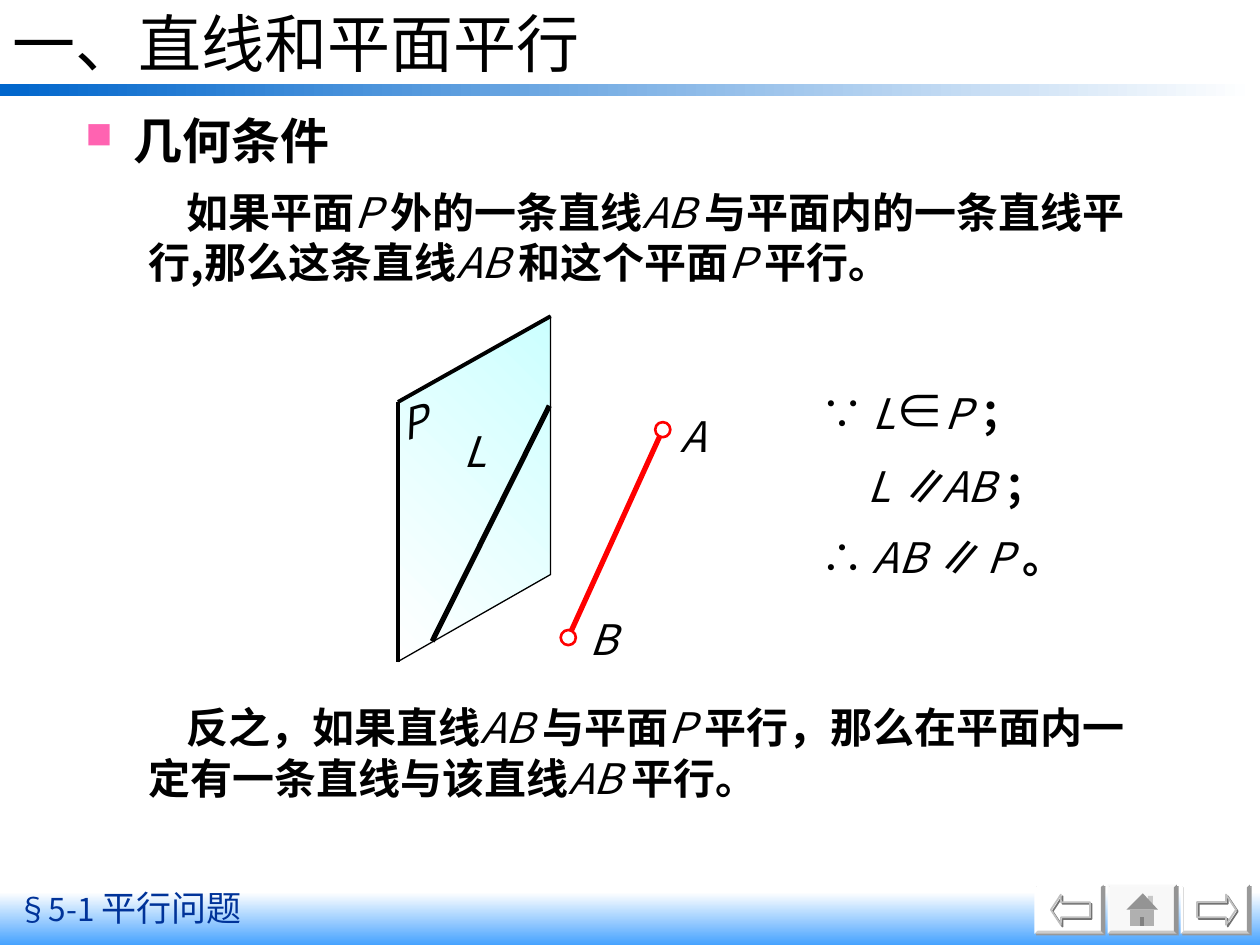
import pptx
import pptx.dml.color
import pptx.enum.shapes
import pptx.enum.text
import pptx.oxml
import pptx.oxml.ns
import pptx.util
from lxml import etree

Inches, Pt = pptx.util.Inches, pptx.util.Pt
SHAPE = pptx.enum.shapes.MSO_SHAPE
NS = 'xmlns:a="http://schemas.openxmlformats.org/drawingml/2006/main"'
SC, JP = "Noto Sans CJK SC", "Noto Sans CJK JP"

# Run styles: font, size, bold, italic, colour
STYLES = {
    "title": ("Lato", 36, False, False, "000000"),
    "heading": (SC, 28, True, False, "000000"),
    "bold": (SC, 24, True, False, "000000"),
    "parallel": (SC, 24, True, True, "000000"),
    "symbol": (JP, 24, False, False, "000000"),
    "element": (JP, 28, False, False, "000000"),
    "variable": (JP, 24, False, True, "000000"),
    "section": (SC, 18, False, False, "003399"),
    "topic": (SC, 20, False, False, "003399"),
}

# Content: paragraphs are lists of (text, style)
TITLE = [("一、直线和平面平行", "title")]
SECTION = [("§5-1 ", "section"), ("平行问题", "topic")]
HEADING = [("几何条件", "heading")]
THEOREM = [
    ("如果平面", "bold"), ("P ", "variable"), ("外的一条直线", "bold"), ("AB ", "variable"),
    ("与平面内的一条直线平行,那么这条直线", "bold"), ("AB ", "variable"),
    ("和这个平面", "bold"), ("P ", "variable"), ("平行。", "bold"),
]
CONVERSE = [
    ("反之，如果直线", "bold"), ("AB ", "variable"), ("与平面", "bold"), ("P ", "variable"),
    ("平行，那么在平面内一定有一条直线与该直线", "bold"), ("AB ", "variable"), ("平行。", "bold"),
]
PROOF = [
    [("∵ ", "symbol"), ("L", "variable"), ("∈", "element"), ("P ", "variable"), ("；", "bold")],
    [("L ", "variable"), ("∥", "parallel"), ("AB ", "variable"), ("；", "bold")],
    [("∴ ", "symbol"), ("AB ", "variable"), ("∥", "parallel"), (" P ", "variable"), ("。", "bold")],
]
LABELS = [("A", 5.3, 3.21), ("B", 4.58, 4.82), ("L", 3.58, 3.33)]
PLANE = [(3.16, 3.19), (4.37, 2.51), (4.37, 4.56), (3.16, 5.25)]
POINT_A, POINT_B = (5.26, 3.41), (4.51, 5.06)
HOUSE = [
    ("C8C8C8", [(9.11, 7.11), (9.15, 7.11), (9.15, 7.18), (9.11, 7.14)]),
    ("B0B0B0", [(8.97, 7.22), (9.16, 7.22), (9.16, 7.35), (8.97, 7.35)]),
    ("949494", [(9.07, 7.09), (9.19, 7.22), (8.94, 7.22)]),
    ("808080", [(9.05, 7.28), (9.08, 7.28), (9.08, 7.35), (9.05, 7.35)]),
]

presentation = pptx.Presentation()
presentation.slide_width, presentation.slide_height = Inches(10), Inches(7.5)
slide = presentation.slides.add_slide(presentation.slide_layouts[6])
shapes = slide.shapes


def color(value):
    return pptx.dml.color.RGBColor.from_string(value)


def paint(shape, fill=None, line=None, width=1):
    shape.shadow.inherit = False
    if fill:
        shape.fill.solid()
        shape.fill.fore_color.rgb = color(fill)
    else:
        shape.fill.background()
    if line:
        shape.line.color.rgb = color(line)
        shape.line.width = Pt(width)
    else:
        shape.line.fill.background()
    return shape


def add_preset(preset, box, **look):
    return paint(shapes.add_shape(preset, *map(Inches, box)), **look)


def add_outline(points, **look):
    corners = [(Inches(x), Inches(y)) for x, y in points]
    builder = shapes.build_freeform(*corners[0], scale=1.0)
    builder.add_line_segments(corners[1:], close=True)
    return paint(builder.convert_to_shape(), **look)


def add_gradient(shape, end, angle):
    shape.fill.gradient()
    shape.fill.gradient_stops[0].color.rgb = color("FFFFFF")
    shape.fill.gradient_stops[0].position = 0
    shape.fill.gradient_stops[1].color.rgb = color(end)
    shape.fill.gradient_stops[1].position = 1
    linear = shape._element.spPr.find(".//" + pptx.oxml.ns.qn("a:lin"))
    linear.set("ang", str(angle * 60000))
    linear.set("scaled", "0")


def add_shadow(shape, value):
    effects = shape._element.spPr.find(pptx.oxml.ns.qn("a:effectLst"))
    effects.append(pptx.oxml.parse_xml(
        f'<a:outerShdw {NS} dist="17780" dir="2700000"><a:srgbClr val="{value}"/></a:outerShdw>'))


def add_line(start, end, width, value="000000"):
    line = shapes.add_connector(pptx.enum.shapes.MSO_CONNECTOR.STRAIGHT,
                                *map(Inches, start + end))
    line.line.color.rgb = color(value)
    line.line.width = Pt(width)
    etree.SubElement(line._element.spPr, pptx.oxml.ns.qn("a:effectLst"))


def add_text(box, paragraphs, middle=False, wrap=True):
    text_box = shapes.add_textbox(*map(Inches, box))
    frame = text_box.text_frame
    frame.word_wrap = wrap
    if middle:
        frame.vertical_anchor = pptx.enum.text.MSO_ANCHOR.MIDDLE
    for index, runs in enumerate(paragraphs):
        paragraph = frame.add_paragraph() if index else frame.paragraphs[0]
        for text, style in runs:
            run = paragraph.add_run()
            run.text = text
            name, size, bold, italic, value = STYLES[style]
            font = run.font
            font.name, font.size, font.bold, font.italic = name, Pt(size), bold, italic
            font.color.rgb = color(value)
            east_asian = etree.SubElement(run._r.rPr, pptx.oxml.ns.qn("a:ea"))
            east_asian.set("typeface", SC if name == "Lato" else name)
    return text_box


def indent(paragraph, left, first):
    properties = paragraph._p.get_or_add_pPr()
    properties.set("marL", str(Inches(left)))
    properties.set("indent", str(Inches(first)))
    return properties


# Title rule and footer band
add_gradient(add_preset(SHAPE.RECTANGLE, (0, 0.67, 9.96, 0.09)), "0066CC", 180)
add_gradient(add_preset(SHAPE.RECTANGLE, (0, 7.08, 10, 0.42)), "47A3FF", 90)
add_text((0.04, 6.99, 4.67, 0.44), [SECTION])

# Plane P with its heavy left and top edges
add_gradient(add_outline(PLANE, line="000000", width=0.75), "CCFFFF", 315)
add_text((3.08, 3.1, 0.39, 0.5), [[("P", "variable")]], wrap=False).rotation = 343.3
add_line(PLANE[0], PLANE[3], 2)
add_line(PLANE[0], PLANE[1], 2.25)

# Title, bulleted heading and the two statements
add_text((0, 0, 8.5, 0.67), [TITLE], middle=True)
heading = add_text((0.58, 0.83, 4.33, 0.75), [HEADING]).text_frame.paragraphs[0]
bullet = indent(heading, 0.38, -0.38)
for xml in (f'<a:buClr {NS}><a:srgbClr val="FF63B1"/></a:buClr>',
            f'<a:buSzPct {NS} val="75000"/>', f'<a:buChar {NS} char="■"/>'):
    bullet.append(pptx.oxml.parse_xml(xml))
for top, statement in ((1.43, THEOREM), (5.52, CONVERSE)):
    text_box = add_text((1.08, top, 8.25, 0.9), [statement], middle=True)
    indent(text_box.text_frame.paragraphs[0], 0, 0.3)

# Line L in the plane, line AB outside it
add_line((3.43, 5.09), (4.36, 3.22), 3)
add_line(POINT_B, POINT_A, 3, "FF0000")
for x, y in (POINT_B, POINT_A):
    add_preset(SHAPE.OVAL, (x - 0.06, y - 0.06, 0.12, 0.12),
               fill="FFFFFF", line="FF0000", width=1.5)
for label, left, top in LABELS:
    add_text((left, top, 0.61, 0.5), [[(label, "variable")]])

# Proof
proof = add_text((6.42, 2.88, 2.23, 1.79), PROOF).text_frame.paragraphs
for index, paragraph in enumerate(proof):
    paragraph.line_spacing = 1.2
    if index:
        paragraph.space_before = Pt(6)
indent(proof[1], 0.37, 0)

# Navigation buttons: back, home, forward
for index, (face, shade, turn) in enumerate(
        [("FFFFFF", "989898", 180), ("F8F8F8", "949494", None), ("FFFFFF", "989898", 0)]):
    left = 8.21 + 0.58 * index
    button = add_preset(SHAPE.BEVEL, (left, 7.02, 0.55, 0.39), fill=face)
    button.adjustments[0] = 0.06
    add_shadow(button, shade)
    if turn is None:
        for value, points in HOUSE:
            add_outline(points, fill=value)
    else:
        arrow = add_preset(SHAPE.RIGHT_ARROW, (left + 0.13, 7.1, 0.31, 0.24), line="C0C0C0")
        arrow.adjustments[0], arrow.adjustments[1] = 0.5, 0.33
        arrow.rotation = turn
        add_shadow(arrow, "727272")

presentation.save("out.pptx")
